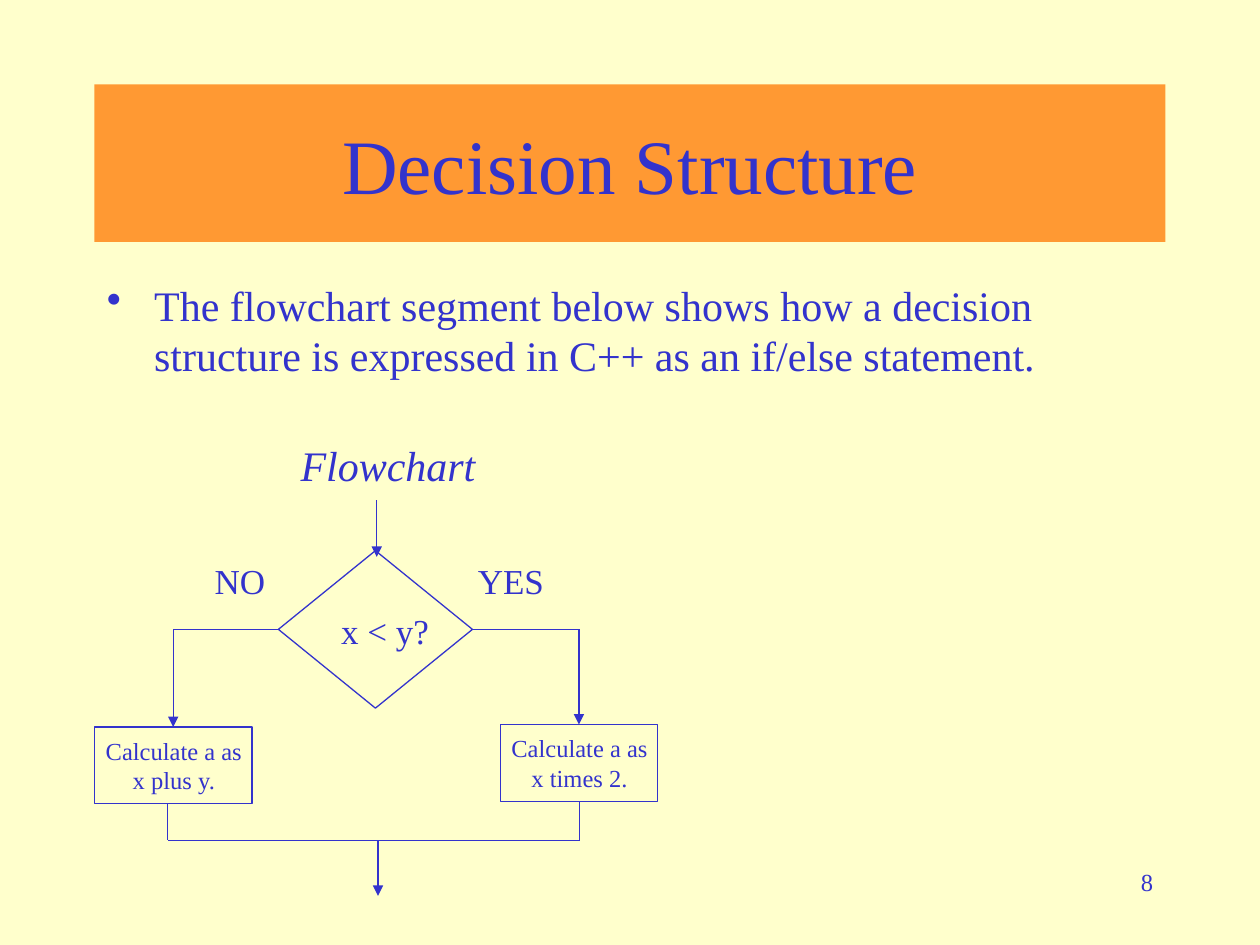
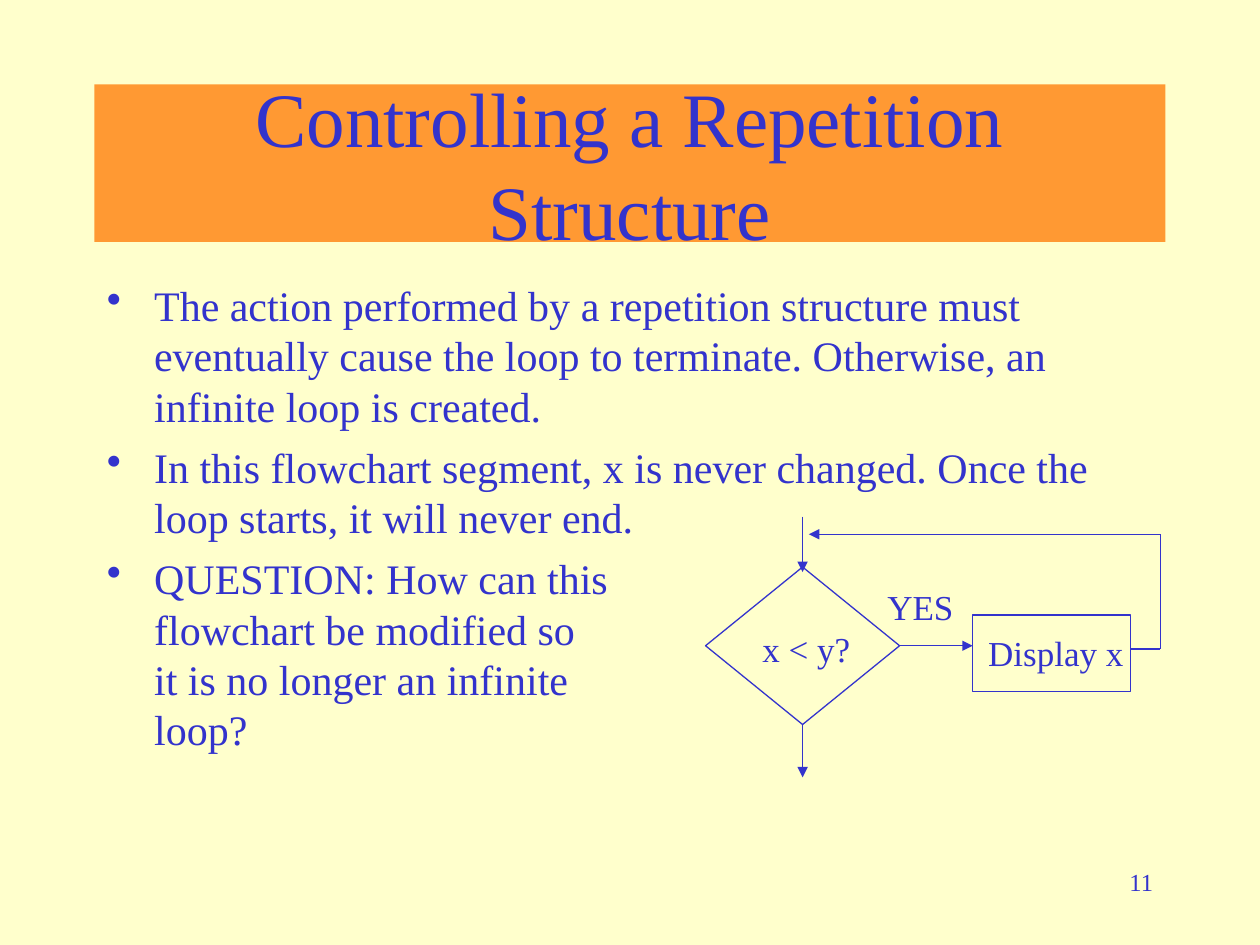
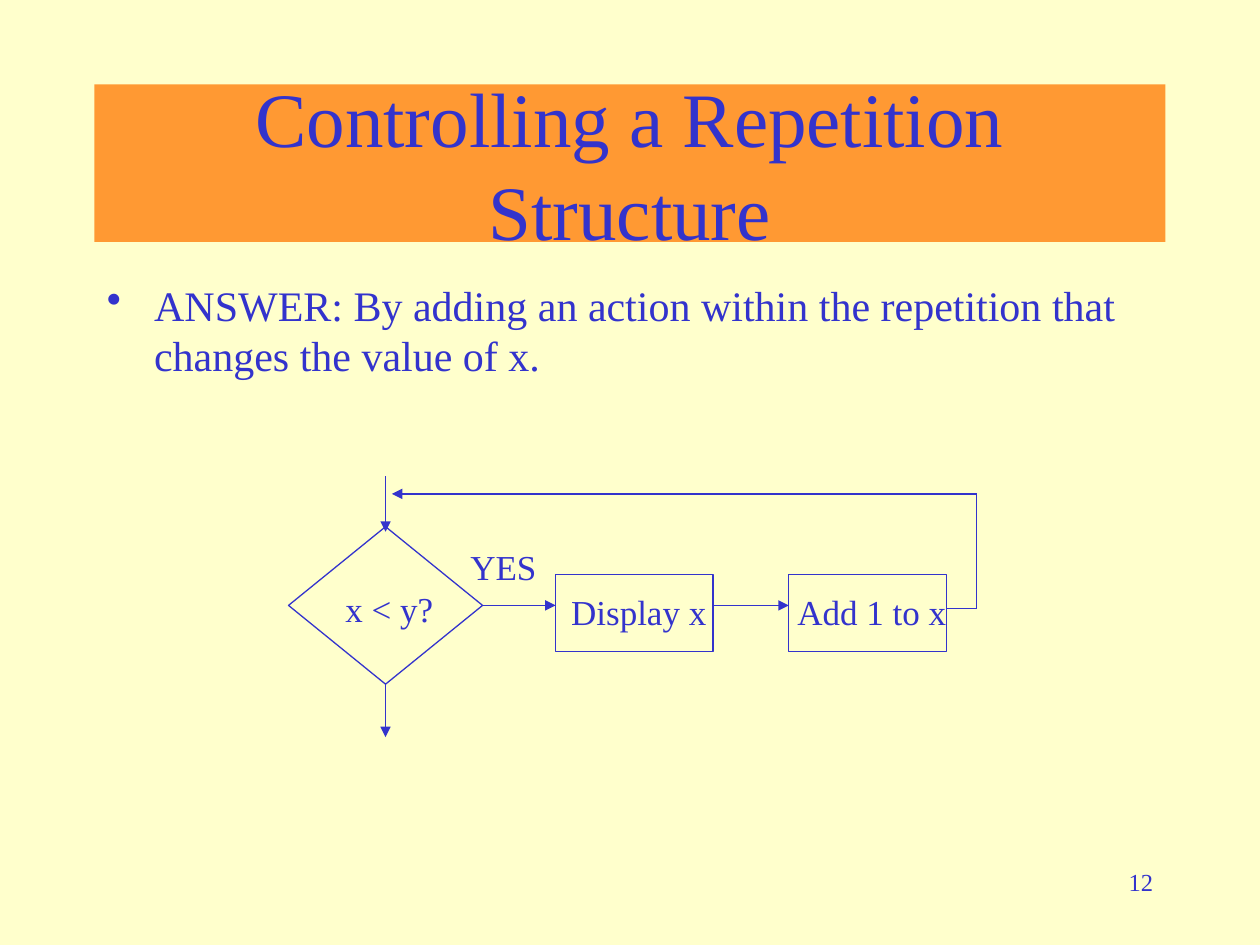
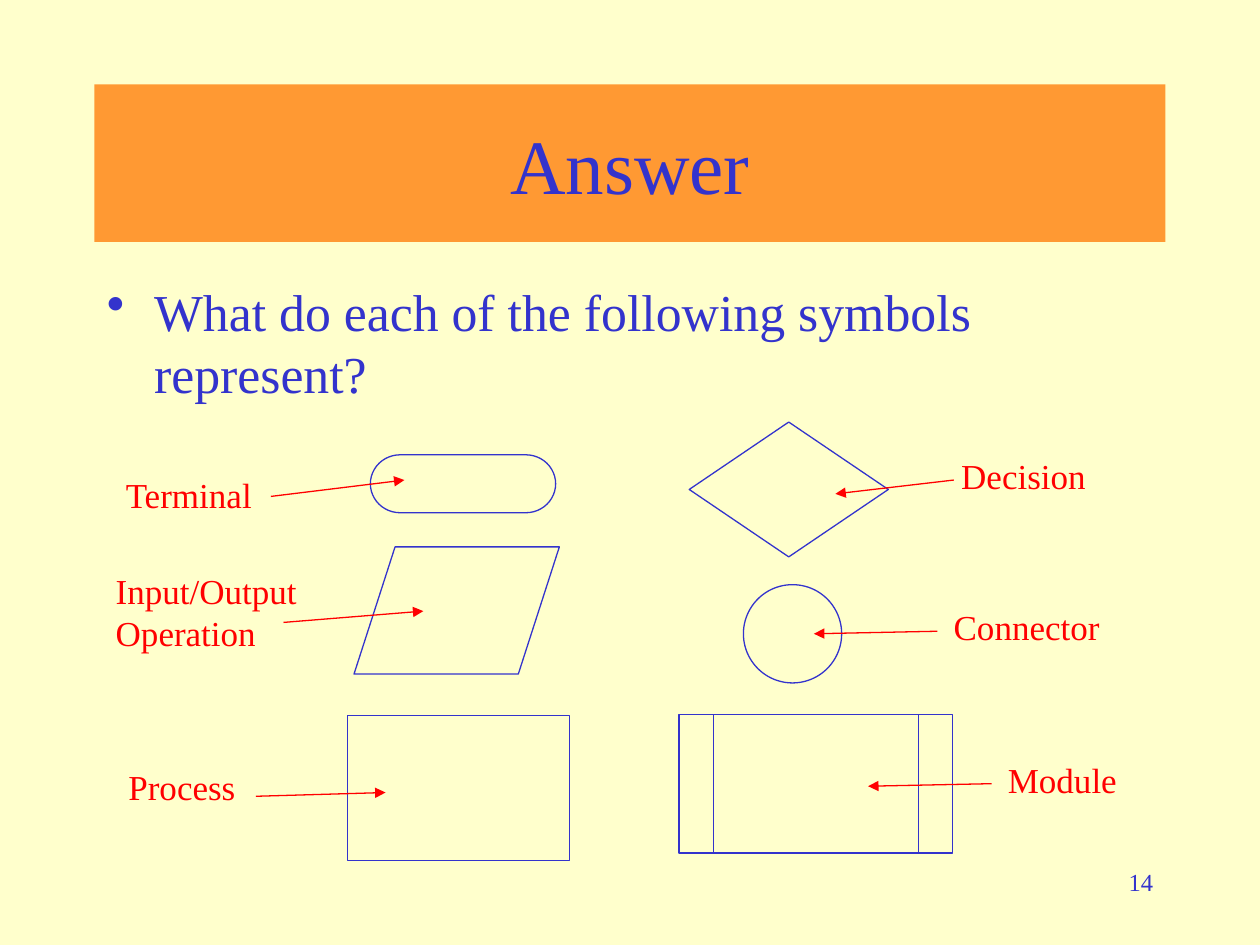
from lxml import etree
from pptx import Presentation
from pptx.dml.color import RGBColor
from pptx.enum.shapes import MSO_CONNECTOR, MSO_SHAPE
from pptx.enum.text import MSO_ANCHOR, PP_ALIGN
from pptx.oxml.ns import qn
from pptx.util import Inches, Pt

CREAM = RGBColor(0xFF, 0xFF, 0xCC)
ORANGE = RGBColor(0xFF, 0x99, 0x33)
BLUE = RGBColor(0x33, 0x33, 0xCC)
RED = RGBColor(0xFF, 0x00, 0x00)
FONT = "Times New Roman"

LEFT, CENTER, RIGHT = PP_ALIGN.LEFT, PP_ALIGN.CENTER, PP_ALIGN.RIGHT
MIDDLE, STRAIGHT = MSO_ANCHOR.MIDDLE, MSO_CONNECTOR.STRAIGHT
RECTANGLE = MSO_SHAPE.RECTANGLE
DECISION = MSO_SHAPE.FLOWCHART_DECISION
TOP_SIDE, LEFT_SIDE, BOTTOM_SIDE, RIGHT_SIDE = range(4)

deck = Presentation()
deck.slide_width, deck.slide_height = Inches(10), Inches(7.5)
UNIT = deck.slide_width // 10  # the grid is 10 columns by 7.5 rows

LEFT_EDGE, CONTENT_WIDTH = 0.75, 8.5
TITLE_PLACE = (LEFT_EDGE, 0.67, CONTENT_WIDTH, 1.25)
NUMBER_PLACE = (7.17, 6.83, 2.08, 0.5)
BODY_TOP = 2.17
DIAMOND_WIDTH, DIAMOND_HEIGHT = 1.54, 1.25
STEP_WIDTH, STEP_HEIGHT = 1.25, 0.61
LABEL_HEIGHT = 0.44


def add_box(slide, place, paragraphs=(), kind=None, fill=None, size=20,
            color=BLUE, align=CENTER, space_before=None):
    """Add a text box, or a preset shape when a kind is given; place is in grid units."""
    place = [round(length * UNIT) for length in place]
    if kind is None:
        box = slide.shapes.add_textbox(*place)
    else:
        box = slide.shapes.add_shape(kind, *place)
        box.shadow.inherit = False
        if fill is None:
            box.fill.background()
            box.line.color.rgb = BLUE
            box.line.width = Pt(0.75)
        else:
            box.fill.solid()
            box.fill.fore_color.rgb = fill
            box.line.fill.background()
    frame = box.text_frame
    frame.word_wrap = True
    for index, text in enumerate(paragraphs):
        para = frame.add_paragraph() if index else frame.paragraphs[0]
        para.text = text
        para.alignment = align
        para.space_before = Pt(size * 0.625 if space_before is None else space_before)
        for run in para.runs:
            run.font.name, run.font.size = FONT, Pt(size)
            run.font.color.rgb = color
    return box


def add_line(slide, start, end, arrow=False, color=BLUE):
    ends = [round(length * UNIT) for length in (*start, *end)]
    line = slide.shapes.add_connector(STRAIGHT, *ends)
    line.line.color.rgb = color
    line.line.width = Pt(0.75)
    if arrow:
        etree.SubElement(line.line._get_or_add_ln(), qn("a:tailEnd"), type="triangle")
    etree.SubElement(line._element.spPr, qn("a:effectLst"))
    return line


# Background, number, title band and bulleted text of every slide
REPETITION_TITLE = "Controlling a Repetition Structure"
OUTLINE = [
    ("8", "Decision Structure", 24, 6, 4.5, [
        "The flowchart segment below shows how a decision structure is expressed "
        "in C++ as an if/else statement."]),
    ("11", REPETITION_TITLE, 24, 6, 4.5, [
        "The action performed by a repetition structure must eventually cause "
        "the loop to terminate. Otherwise, an infinite loop is created.",
        "In this flowchart segment, x is never changed. Once the loop starts, "
        "it will never end.",
        "QUESTION: How can this\nflowchart be modified so\n"
        "it is no longer an infinite\nloop?"]),
    ("12", REPETITION_TITLE, 24, 6, 4.5, [
        "ANSWER: By adding an action within the repetition that changes "
        "the value of x."]),
    ("14", "Answer", 29.6, 8, 1.17, [
        "What do each of the following symbols represent?"]),
]
slides = []
for number, title, body_size, body_space, body_height, bullets in OUTLINE:
    slide = deck.slides.add_slide(deck.slide_layouts[6])
    slides.append(slide)
    slide.background.fill.solid()
    slide.background.fill.fore_color.rgb = CREAM
    add_box(slide, NUMBER_PLACE, [number], size=14, align=RIGHT, space_before=0)
    band = add_box(slide, TITLE_PLACE, [title], RECTANGLE, ORANGE, size=44, space_before=0)
    band.text_frame.vertical_anchor = MIDDLE
    band.text_frame.margin_left = band.text_frame.margin_right = Inches(0.15)
    body = add_box(slide, (LEFT_EDGE, BODY_TOP, CONTENT_WIDTH, body_height), bullets,
                   size=body_size, align=LEFT, space_before=body_space)
    for para in body.text_frame.paragraphs:
        properties = para._p.get_or_add_pPr()
        properties.set("marL", str(Inches(0.375)))
        properties.set("indent", str(-Inches(0.375)))
        bullet_color = etree.SubElement(properties, qn("a:buClr"))
        etree.SubElement(bullet_color, qn("a:srgbClr"), val=str(BLUE))
        etree.SubElement(properties, qn("a:buChar"), char="•")

# Decision structure: a diamond with two branches that meet again
slide = slides[0]
DIAMOND_LEFT, DIAMOND_TOP = 2.21, 4.37
branch_y = DIAMOND_TOP + DIAMOND_HEIGHT / 2
merge_y = 6.67
diamond = add_box(slide, (DIAMOND_LEFT, DIAMOND_TOP, DIAMOND_WIDTH, DIAMOND_HEIGHT),
                  kind=DECISION)
BRANCHES = [
    ("NO", 1.49, "Calculate a as x plus y.", 0.75, 5.77, DIAMOND_LEFT, LEFT_SIDE, 1.33),
    ("YES", 3.64, "Calculate a as x times 2.", 3.97, 5.75,
     DIAMOND_LEFT + DIAMOND_WIDTH, RIGHT_SIDE, 4.6),
]
for answer, answer_left, action, left, top, corner_x, side, exit_x in BRANCHES:
    step = add_box(slide, (left, top, STEP_WIDTH, STEP_HEIGHT), kind=RECTANGLE)
    step_center = left + STEP_WIDTH / 2
    branch = add_line(slide, (corner_x, branch_y), (step_center, branch_y))
    branch.begin_connect(diamond, side)
    drop = add_line(slide, (step_center, branch_y), (step_center, top), arrow=True)
    drop.end_connect(step, TOP_SIDE)
    add_line(slide, (exit_x, top + STEP_HEIGHT), (exit_x, merge_y))
    add_box(slide, (answer_left, 4.39, 0.83, LABEL_HEIGHT), [answer])
    add_box(slide, (left - 0.01, top + 0.02, 1.28, 0.57), [action], size=14)
add_line(slide, (4.6, merge_y), (1.33, merge_y))
add_line(slide, (3, merge_y), (3, 7.11), arrow=True)
add_line(slide, (2.99, 3.97), (2.99, 4.42), arrow=True)
add_box(slide, (2.61, 4.79, 0.94, LABEL_HEIGHT), ["x < y?"], align=LEFT)
heading = add_box(slide, (2.21, 3.44, 1.74, 0.5), ["Flowchart"], size=24)
heading.text_frame.paragraphs[0].runs[0].font.italic = True

# Repetition structures: a diamond, a row of steps and a line back to the start
STEP_OFFSET, STEP_PITCH = 2.12, 1.85
LOOPS = [
    (slides[1], 5.6, 4.5, ["Display x"]),
    (slides[2], 2.29, 4.18, ["Display x", "Add 1 to x"]),
]
for slide, left, top, actions in LOOPS:
    center_x = left + DIAMOND_WIDTH / 2
    bottom = top + DIAMOND_HEIGHT
    flow_y = top + DIAMOND_HEIGHT / 2
    diamond = add_box(slide, (left, top, DIAMOND_WIDTH, DIAMOND_HEIGHT), kind=DECISION)
    add_line(slide, (center_x, top - 0.4), (center_x, top + 0.04), arrow=True)
    leave = add_line(slide, (center_x, bottom), (center_x, bottom + 0.42), arrow=True)
    leave.begin_connect(diamond, BOTTOM_SIDE)
    previous_right = left + DIAMOND_WIDTH
    for index, action in enumerate(actions):
        step_left = left + STEP_OFFSET + index * STEP_PITCH
        add_box(slide, (step_left, top + 0.38, STEP_WIDTH, STEP_HEIGHT), kind=RECTANGLE)
        link = add_line(slide, (previous_right, flow_y), (step_left, flow_y), arrow=True)
        if index == 0:
            link.begin_connect(diamond, RIGHT_SIDE)
        add_box(slide, (step_left - 0.05, top + 0.46, 1.42, LABEL_HEIGHT), [action])
        previous_right = step_left + STEP_WIDTH
    return_x, exit_y, return_y = previous_right + 0.24, top + 0.65, top - 0.26
    add_line(slide, (previous_right, exit_y), (return_x, exit_y))
    add_line(slide, (return_x, exit_y), (return_x, return_y))
    add_line(slide, (return_x, return_y), (center_x + 0.05, return_y), arrow=True)
    add_box(slide, (left + 0.28, top + 0.43, 1.04, LABEL_HEIGHT), ["x < y?"])
    add_box(slide, (left + 1.28, top + 0.1, 0.85, LABEL_HEIGHT), ["YES"])

# Flowchart symbols, each with its name and a red pointer
slide = slides[3]
SYMBOLS = [
    ("Terminal", MSO_SHAPE.FLOWCHART_TERMINATOR, (2.94, 3.61, 1.47, 0.46),
     (0.9, 3.71, 1.42, LABEL_HEIGHT), (2.15, 3.94), (3.21, 3.81)),
    ("Input/Output Operation", MSO_SHAPE.FLOWCHART_DATA, (2.81, 4.34, 1.63, 1.01),
     (0.82, 4.47, 1.86, 0.77), (2.25, 4.94), (3.36, 4.85)),
    ("Process", RECTANGLE, (2.76, 5.68, 1.76, 1.15),
     (0.92, 6.03, 1.42, LABEL_HEIGHT), (2.03, 6.32), (3.06, 6.29)),
    ("Decision", DECISION, (5.47, 3.35, 1.58, 1.07),
     (7.53, 3.56, 1.42, LABEL_HEIGHT), (7.57, 3.81), (6.63, 3.92)),
    ("Connector", MSO_SHAPE.FLOWCHART_CONNECTOR, (5.9, 4.64, 0.78, 0.78),
     (7.47, 4.76, 1.42, LABEL_HEIGHT), (7.44, 5.01), (6.46, 5.03)),
    ("Module", MSO_SHAPE.FLOWCHART_PREDEFINED_PROCESS, (5.39, 5.67, 2.17, 1.1),
     (7.9, 5.97, 1.42, LABEL_HEIGHT), (7.87, 6.22), (6.89, 6.24)),
]
for name, kind, symbol_place, name_place, start, end in SYMBOLS:
    add_box(slide, symbol_place, kind=kind)
    add_box(slide, name_place, [name], color=RED, align=LEFT)
    add_line(slide, start, end, arrow=True, color=RED)

deck.save("out.pptx")
